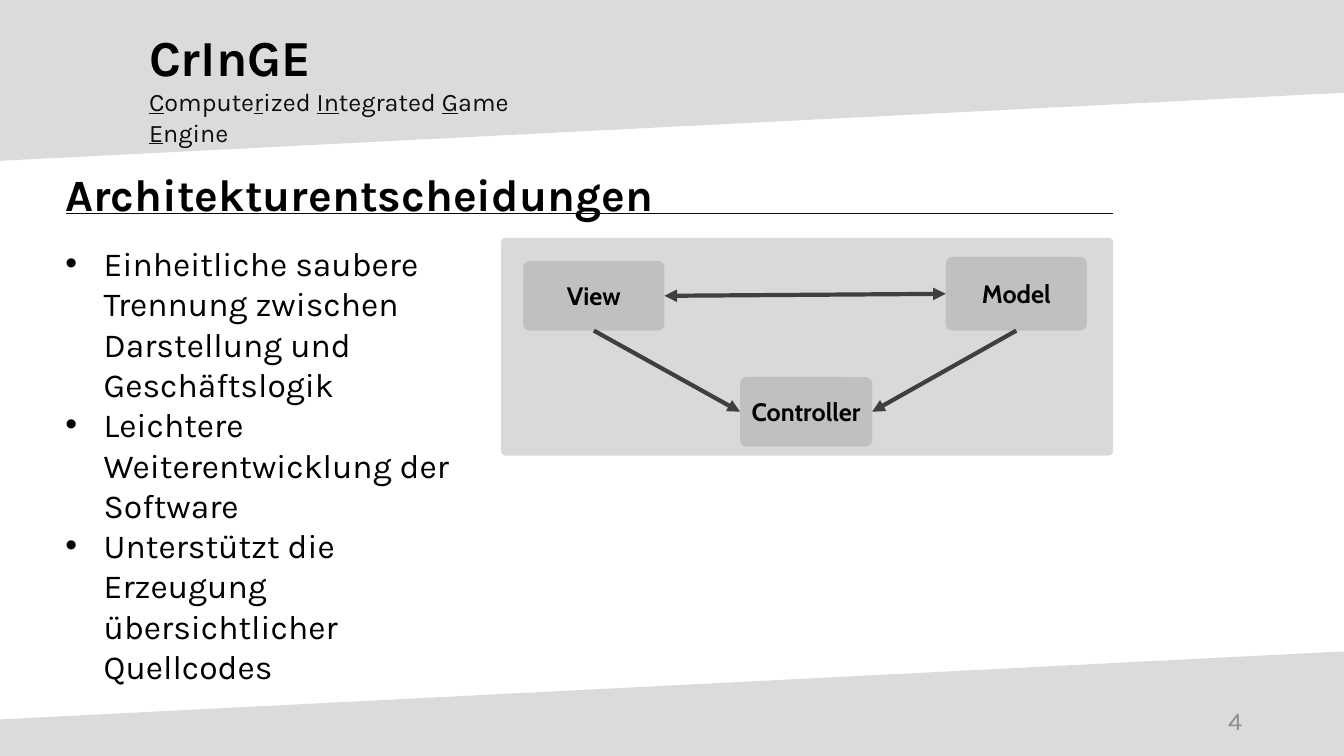
from lxml import etree
from pptx import Presentation
from pptx.dml.color import RGBColor
from pptx.enum.shapes import MSO_CONNECTOR as Connector, MSO_SHAPE as Shape
from pptx.enum.text import MSO_ANCHOR as Anchor, PP_ALIGN as Align
from pptx.oxml.ns import qn
from pptx.util import Inches, Pt

BLACK = RGBColor(0x00, 0x00, 0x00)
INK = RGBColor(0x0D, 0x0D, 0x0D)
ARROW = RGBColor(0x3F, 0x3F, 0x3F)
NUMBER = RGBColor(0x8C, 0x8C, 0x8C)
BAND = RGBColor(0xDB, 0xDB, 0xDB)
PANEL = RGBColor(0xD9, 0xD9, 0xD9)
NODE = RGBColor(0xC0, 0xC0, 0xC0)

TITLE = "CrInGE"
# Subtitle pieces: text, underlined
SUBTITLE = [("C", True), ("ompute", False), ("r", True), ("ized ", False),
            ("In", True), ("tegrated ", False), ("G", True), ("ame ", False),
            ("E", True), ("ngine", False)]
HEADING = "Architekturentscheidungen"
BULLETS = [
    "Einheitliche saubere Trennung zwischen Darstellung und Geschäftslogik",
    "Leichtere Weiterentwicklung der Software",
    "Unterstützt die Erzeugung übersichtlicher Quellcodes",
]
PAGE_NUMBER = "4"
BANDS = [(-0.14, -0.62, 13.5, 1.88), (-0.11, 6.8, 13.56, 1.08)]
BAND_ROTATION = 357.1
NODES = {
    "Controller": (7.34, 3.74, 1.31, 0.69),
    "View": (5.19, 2.59, 1.4, 0.69),
    "Model": (9.38, 2.55, 1.4, 0.73),
}
TOP, LEFT, BOTTOM, RIGHT = range(4)
# Arrows: from node, side, to node, side, arrowheads
ARROWS = [
    ("View", RIGHT, "Model", LEFT, ("headEnd", "tailEnd")),
    ("View", BOTTOM, "Controller", LEFT, ("tailEnd",)),
    ("Model", BOTTOM, "Controller", RIGHT, ("tailEnd",)),
]


def style(font, size, color=BLACK, bold=False, name="Karla"):
    font.name, font.size, font.bold = name, Pt(size), bold
    font.color.rgb = color


def add_block(page, kind, place, color):
    block = page.shapes.add_shape(kind, *map(Inches, place))
    block.shadow.inherit = False
    block.fill.solid()
    block.fill.fore_color.rgb = color
    block.line.fill.background()
    return block


def add_text(page, place, text, anchor=Anchor.TOP):
    """Add a wrapping text box and return its text frame."""
    frame = page.shapes.add_textbox(*map(Inches, place)).text_frame
    frame.word_wrap = True
    frame.vertical_anchor = anchor
    frame.text = text
    return frame


def add_line(page, start, end, color, width):
    line = page.shapes.add_connector(Connector.STRAIGHT, *map(Inches, start + end))
    line.line.color.rgb = color
    line.line.width = Pt(width)
    etree.SubElement(line._element.spPr, qn("a:effectLst"))
    return line


def add_bullet(para):
    props = para._p.get_or_add_pPr()
    props.set("marL", str(Inches(0.38)))
    props.set("indent", str(Inches(-0.38)))
    etree.SubElement(props, qn("a:buFont"), typeface="Arial")
    etree.SubElement(props, qn("a:buChar"), char="•")


def add_header(page):
    frame = add_text(page, (1.38, 0.21, 4.26, 1.01), TITLE)
    style(frame.paragraphs[0].runs[0].font, 36, bold=True)
    para = frame.add_paragraph()
    for text, underlined in SUBTITLE:
        span = para.add_run()
        span.text = text
        style(span.font, 18, INK)
        span.font.underline = underlined


def add_body(page):
    heading = add_text(page, (0.55, 1.6, 10.59, 0.64), HEADING, Anchor.BOTTOM)
    style(heading.paragraphs[0].runs[0].font, 32, bold=True)
    add_line(page, (0.65, 2.12), (11.04, 2.12), INK, 1)
    body = add_text(page, (0.55, 2.36, 4.42, 3.74), "\n".join(BULLETS))
    for para in body.paragraphs:
        add_bullet(para)
        style(para.runs[0].font, 24)


def add_diagram(page):
    panel = add_block(page, Shape.ROUNDED_RECTANGLE, (4.97, 2.36, 6.07, 2.16), PANEL)
    panel.adjustments[0] = 0.02
    boxes = {}
    for label, place in NODES.items():
        box = boxes[label] = add_block(page, Shape.ROUNDED_RECTANGLE, place, NODE)
        box.adjustments[0] = 0.09
        frame = box.text_frame
        frame.margin_left = frame.margin_right = Inches(0.04)
        frame.margin_top = frame.margin_bottom = Inches(0.04)
        frame.vertical_anchor = Anchor.MIDDLE
        frame.text = label
        para = frame.paragraphs[0]
        para.alignment = Align.CENTER
        style(para.runs[0].font, 18, bold=True, name="Cabin")
    for source, source_side, target, target_side, heads in ARROWS:
        arrow = add_line(page, (0, 0), (0, 0), ARROW, 3)
        arrow.begin_connect(boxes[source], source_side)
        arrow.end_connect(boxes[target], target_side)
        for head in heads:
            etree.SubElement(arrow.line._get_or_add_ln(), qn("a:" + head), type="triangle")


def main():
    deck = Presentation()
    deck.slide_width, deck.slide_height = Inches(13.33), Inches(7.5)
    page = deck.slides.add_slide(deck.slide_layouts[6])
    for place in BANDS:
        add_block(page, Shape.RECTANGLE, place, BAND).rotation = BAND_ROTATION
    add_header(page)
    add_body(page)
    number = add_text(page, (9.42, 6.95, 3, 0.4), PAGE_NUMBER, Anchor.MIDDLE)
    number.paragraphs[0].alignment = Align.RIGHT
    style(number.paragraphs[0].runs[0].font, 18, NUMBER)
    add_diagram(page)
    deck.save("out.pptx")


if __name__ == "__main__":
    main()
